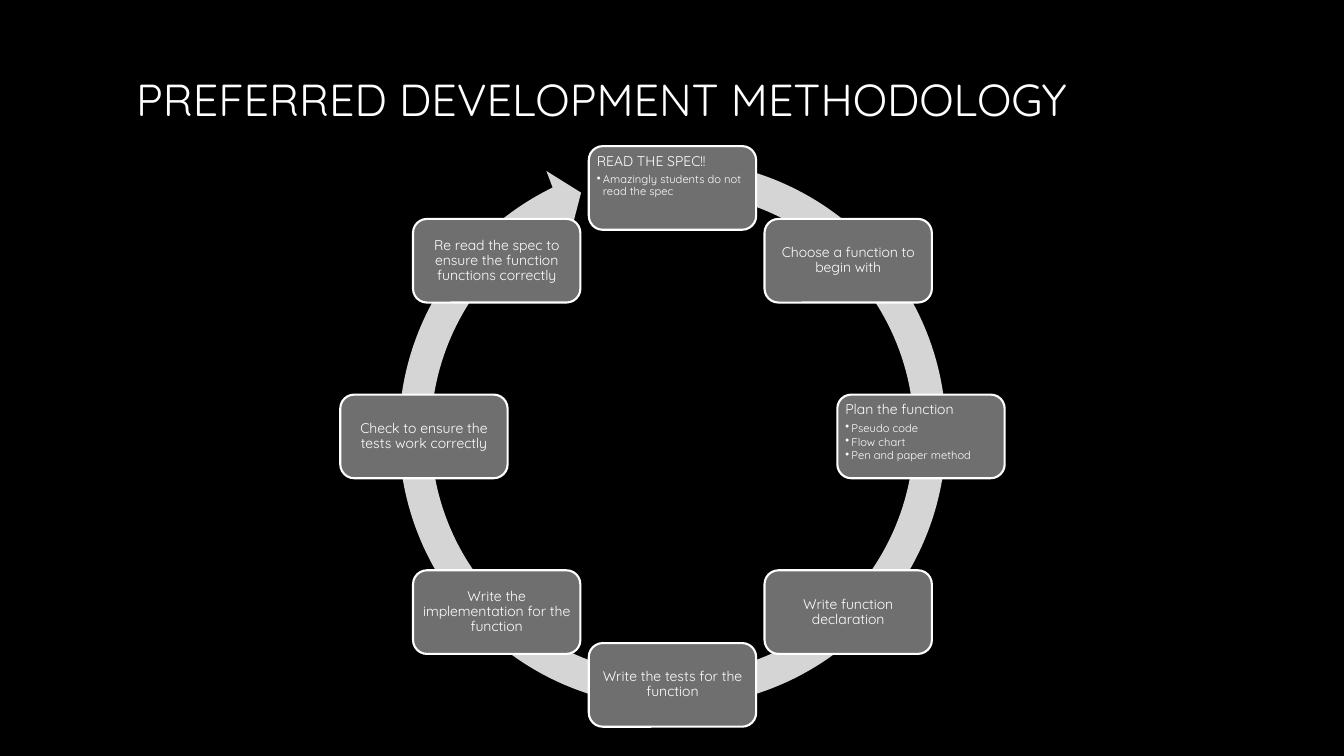
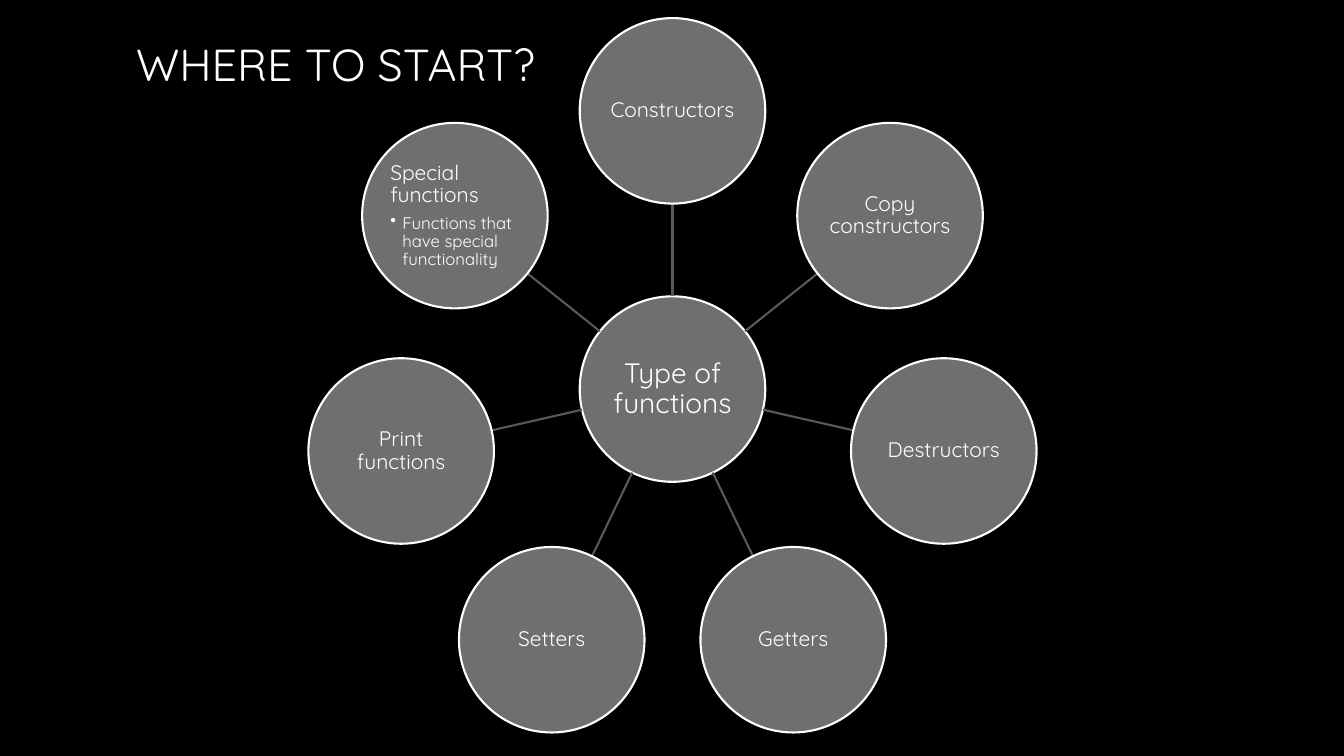
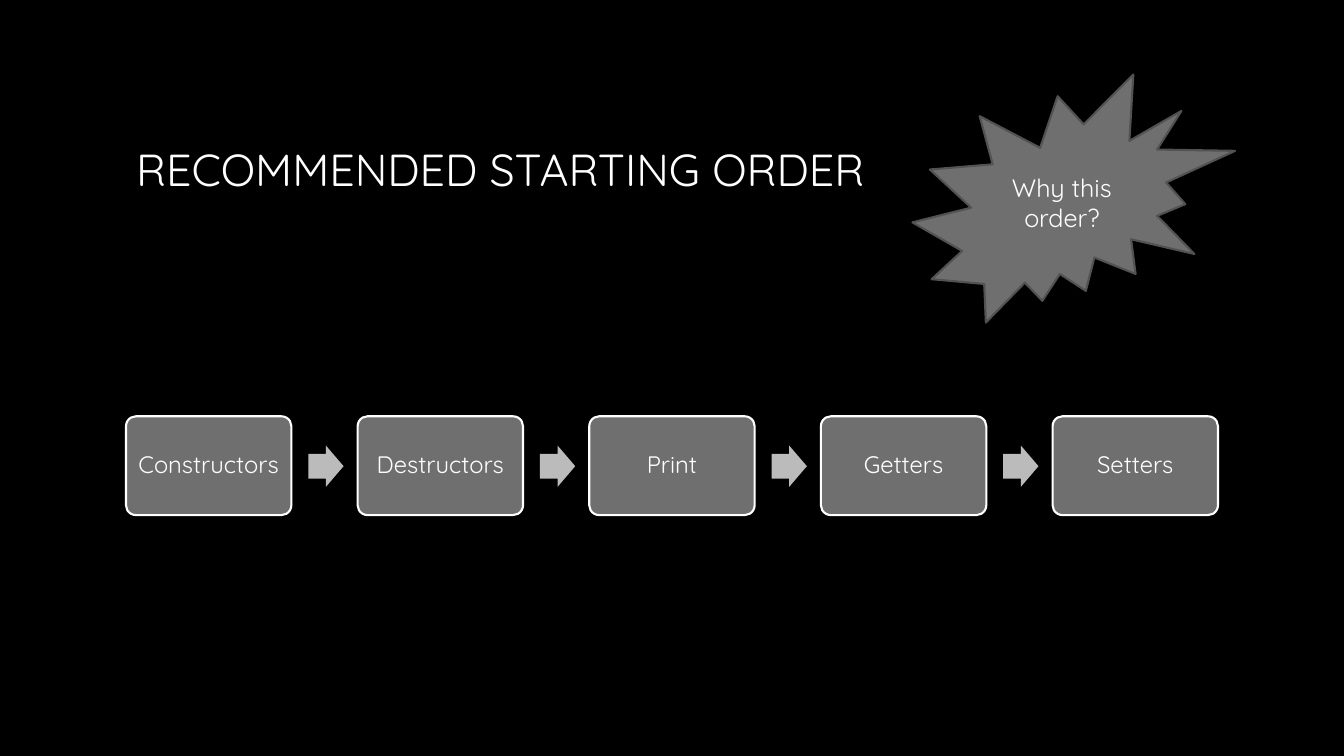
from dataclasses import dataclass
from math import cos, radians, sin

from lxml import etree
from pptx import Presentation
from pptx.dml.color import RGBColor
from pptx.enum import shapes, text
from pptx.oxml import ns
from pptx.util import Inches, Pt

SHAPE = shapes.MSO_SHAPE
ALIGN = text.PP_ALIGN
ANCHOR = text.MSO_ANCHOR


@dataclass(frozen=True)
class Theme:
    font: str = "Quicksand"
    back: str = "000000"
    ink: str = "FFFFFF"
    box: str = "6F6F6F"
    ring: str = "D5D5D5"
    arrow: str = "BBBBBB"
    spoke: str = "595959"
    seal_edge: str = "525252"
    line: float = 1.5
    title: int = 32
    hub: int = 20
    seal: int = 18
    step: int = 17
    node: int = 15
    node_bullet: int = 12
    cycle: int = 10
    cycle_bullet: int = 8


T = Theme()


def rgb(value):
    return RGBColor.from_string(value)


def around(cx, cy, radius, count):
    """Unit directions and points spaced evenly, clockwise from the top."""
    for i in range(count):
        a = radians(360 * i / count)
        dx, dy = sin(a), -cos(a)
        yield dx, dy, cx + radius * dx, cy + radius * dy


class Deck:
    def __init__(self):
        self.prs = Presentation()
        self.prs.slide_width = Inches(13.33)
        self.prs.slide_height = Inches(7.5)
        fill = self.prs.slide_master.background.fill
        fill.solid()
        fill.fore_color.rgb = rgb(T.back)
        self.s = None

    def slide(self, title, top, height):
        """Start a slide with its title."""
        self.s = self.prs.slides.add_slide(self.prs.slide_layouts[5])
        sp = self.s.shapes.title
        place = {"left": 1.25, "top": top, "width": 10.83, "height": height}
        for name, value in place.items():
            setattr(sp, name, Inches(value))
        self.frame(sp, 0.1, 0.05)
        self.label(sp.text_frame.paragraphs[0], title, T.title, align=ALIGN.LEFT)

    def frame(self, sp, inset_x, inset_y, anchor=ANCHOR.MIDDLE):
        tf = sp.text_frame
        settings = {
            "word_wrap": True, "auto_size": text.MSO_AUTO_SIZE.NONE,
            "vertical_anchor": anchor,
            "margin_left": Inches(inset_x), "margin_right": Inches(inset_x),
            "margin_top": Inches(inset_y), "margin_bottom": Inches(inset_y),
        }
        for name, value in settings.items():
            setattr(tf, name, value)

    def label(self, p, words, size, align=ALIGN.CENTER, spacing=0.9, after=0):
        for name, value in {"alignment": align, "line_spacing": spacing,
                            "space_after": Pt(after)}.items():
            setattr(p, name, value)
        r = p.add_run()
        r.text = words
        for name, value in {"name": T.font, "size": Pt(size)}.items():
            setattr(r.font, name, value)
        r.font.color.rgb = rgb(T.ink)

    def bullet(self, tf, words, size, indent):
        p = tf.add_paragraph()
        pPr = p._p.get_or_add_pPr()
        pPr.set("marL", str(Inches(indent)))
        pPr.set("indent", str(-Inches(indent)))
        etree.SubElement(pPr, ns.qn("a:buChar")).set("char", "•")
        self.label(p, words, size, ALIGN.LEFT, after=0.15 * size)

    def shape(self, kind, at, fill, edge=None, adjust=()):
        sp = self.s.shapes.add_shape(kind, *map(Inches, at))
        sp.shadow.inherit = False
        sp.fill.solid()
        sp.fill.fore_color.rgb = rgb(fill)
        if edge:
            sp.line.color.rgb = rgb(edge)
            sp.line.width = Pt(T.line)
        else:
            sp.line.fill.background()
        for i, value in enumerate(adjust):
            sp.adjustments[i] = value
        return sp

    def node(self, kind, at, words, size, inset, bullets=(), bullet_size=0,
             indent=0, anchor=ANCHOR.MIDDLE, adjust=()):
        """An outlined shape with a label and optional bullets."""
        sp = self.shape(kind, at, T.box, T.ink, adjust)
        self.frame(sp, inset, inset, anchor)
        tf = sp.text_frame
        align = ALIGN.LEFT if bullets else ALIGN.CENTER
        self.label(tf.paragraphs[0], words, size, align, after=0.35 * size)
        for item in bullets:
            self.bullet(tf, item, bullet_size, indent)

    def seal(self, at, words):
        sp = self.shape(SHAPE.EXPLOSION2, at, T.box, T.seal_edge)
        self.frame(sp, 0.1, 0.05)
        self.label(sp.text_frame.paragraphs[0], words, T.seal, spacing=1.0)

    def spoke(self, x1, y1, x2, y2):
        line = self.s.shapes.add_connector(
            shapes.MSO_CONNECTOR.STRAIGHT, *map(Inches, (x1, y1, x2, y2)))
        line.line.color.rgb = rgb(T.spoke)
        line.line.width = Pt(T.line)
        etree.SubElement(line._element.spPr, ns.qn("a:effectLst"))


def methodology(deck):
    deck.slide("PREFERRED DEVELOPMENT METHODOLOGY", 0.58, 0.87)
    deck.shape(SHAPE.CIRCULAR_ARROW, (3.78, 1.41, 5.78, 5.78), T.ring,
               adjust=(0.055, 3.307, 146.22, 168.897, 0.058))
    steps = [
        ("READ THE SPEC!!", ["Amazingly students do not read the spec"]),
        ("Choose a function to begin with", []),
        ("Plan the function", ["Pseudo code", "Flow chart", "Pen and paper method"]),
        ("Write function declaration", []),
        ("Write the tests for the function", []),
        ("Write the implementation for the function", []),
        ("Check to ensure the tests work correctly", []),
        ("Re read the spec to ensure the function functions correctly", []),
    ]
    w, h = 1.66, 0.83
    spots = around(6.67, 4.33, 2.465, len(steps))
    for (words, bullets), (_, _, x, y) in zip(steps, spots):
        deck.node(SHAPE.ROUNDED_RECTANGLE, (x - w / 2, y - h / 2, w, h), words,
                  T.cycle, 0.04, bullets, T.cycle_bullet, 0.06,
                  ANCHOR.TOP if bullets else ANCHOR.MIDDLE)


def where_to_start(deck):
    deck.slide("WHERE TO START?", 0.31, 0.71)
    kinds = [
        ("Constructors", []), ("Copy constructors", []), ("Destructors", []),
        ("Getters", []), ("Setters", []), ("Print functions", []),
        ("Special functions", ["Functions that have special functionality"]),
    ]
    cx, cy, r, reach = 6.67, 3.86, 0.92, 2.76

    def circle(x, y, words, size, bullets=()):
        deck.node(SHAPE.OVAL, (x - r, y - r, 2 * r, 2 * r), words, size, 0.01,
                  bullets, T.node_bullet, 0.12)

    circle(cx, cy, "Type of functions", T.hub)
    spots = around(cx, cy, reach, len(kinds))
    for (words, bullets), (dx, dy, x, y) in zip(kinds, spots):
        deck.spoke(cx + r * dx, cy + r * dy, x - r * dx, y - r * dy)
        circle(x, y, words, T.node, bullets)


def starting_order(deck):
    deck.slide("RECOMMENDED STARTING ORDER", 0.67, 2.08)
    order = ["Constructors", "Destructors", "Print", "Getters", "Setters"]
    left, right, w = 1.25, 12.08, 1.64
    pitch = (right - left - w) / (len(order) - 1)
    for i, words in enumerate(order):
        x = left + i * pitch
        if i:
            deck.shape(SHAPE.RIGHT_ARROW, (x - 0.49, 4.42, 0.35, 0.41), T.arrow,
                       adjust=(0.6, 0.5))
        deck.node(SHAPE.ROUNDED_RECTANGLE, (x, 4.13, w, 0.98), words, T.step,
                  0.07, adjust=(0.1,))
    deck.seal((9.05, 0.74, 3.2, 2.46), "Why this order?")


def main():
    deck = Deck()
    for build in (methodology, where_to_start, starting_order):
        build(deck)
    deck.prs.save("out.pptx")


if __name__ == "__main__":
    main()
